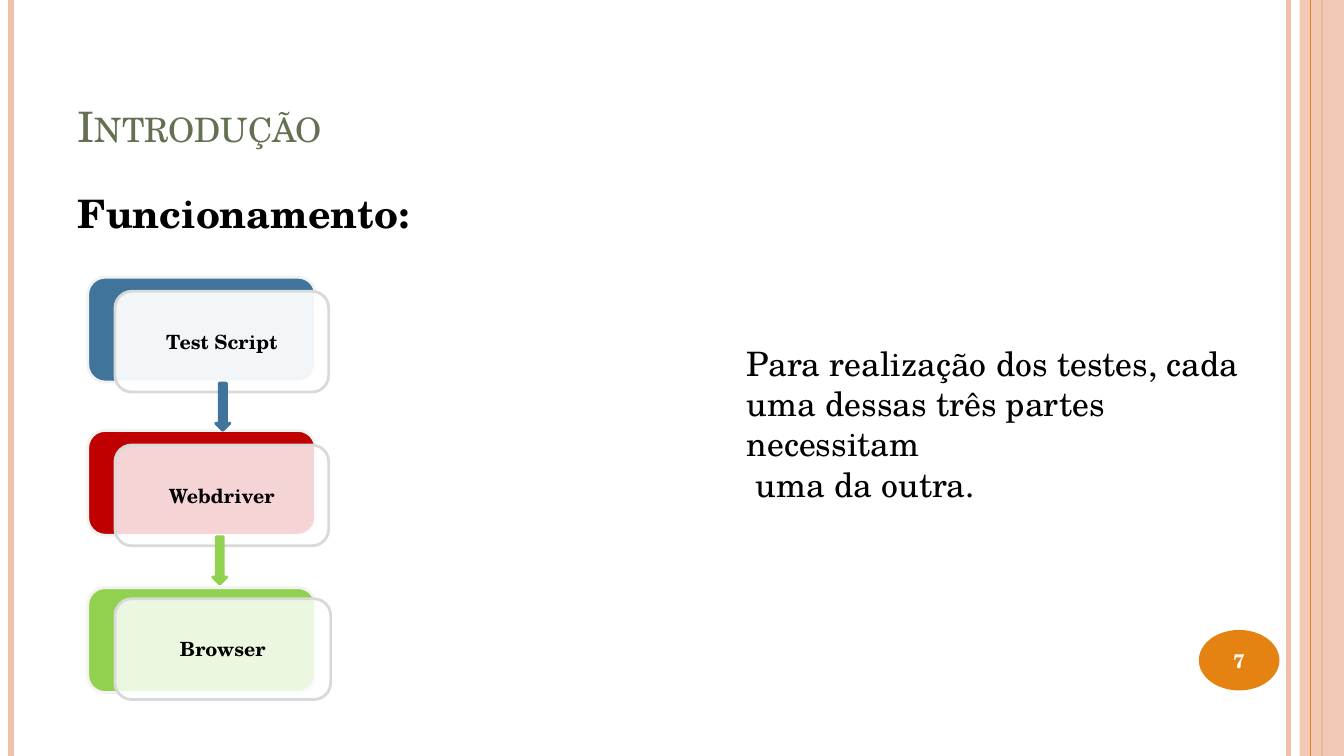
from lxml import etree
from pptx import Presentation
from pptx import util as u
from pptx.dml.color import RGBColor
from pptx.enum import shapes, text
from pptx.oxml.ns import qn


class Theme:
    font = "TeX Gyre Schola"
    peach, orange, olive = "EFC1AB", "E48312", "637052"
    blue, red, green = "40749B", "C00000", "92D050"
    black, white = "000000", "FFFFFF"
    pale, grey = "F2F2F2", "D9D9D9"
    title, heading, body, label = 30, 28, 24, 14


def apply(target, formats):
    for name, value in formats.items():
        setattr(target, name, value)


def set_opacity(sp, percent):
    """Make the solid fill of a shape partly transparent."""
    color = sp._element.spPr.find(qn("a:solidFill")).find(qn("a:srgbClr"))
    etree.SubElement(color, qn("a:alpha"), val=str(percent * 1000))


def write(p, words, size, color=Theme.black, bold=False):
    r = p.add_run()
    r.text = words
    apply(r.font, {"name": Theme.font, "size": u.Pt(size), "bold": bold})
    r.font.color.rgb = RGBColor.from_string(color)
    return r


def add_box(s, kind, box, fill, line=None, opacity=100):
    sp = s.shapes.add_shape(kind, *map(u.Inches, box))
    sp.shadow.inherit = False
    sp.fill.solid()
    sp.fill.fore_color.rgb = RGBColor.from_string(fill)
    if opacity < 100:
        set_opacity(sp, opacity)
    if line:
        sp.line.color.rgb = RGBColor.from_string(line)
        sp.line.width = u.Pt(2)
    else:
        sp.line.fill.background()
    return sp


def add_label(sp, words, color=Theme.black):
    tf = sp.text_frame
    apply(tf, {"word_wrap": True, "vertical_anchor": text.MSO_ANCHOR.MIDDLE})
    p = tf.paragraphs[0]
    p.alignment = text.PP_ALIGN.CENTER
    write(p, words, Theme.label, color, bold=True)


def add_rule(s, x, height, color, weight):
    rule = s.shapes.add_connector(shapes.MSO_CONNECTOR.STRAIGHT,
                                  u.Inches(x), 0, u.Inches(x), u.Inches(height))
    rule.line.color.rgb = RGBColor.from_string(color)
    rule.line.width = u.Pt(weight)
    etree.SubElement(rule._element.spPr, qn("a:effectLst"))


def add_frame(s, width, height):
    # Rules behind the band, the band at the right edge, and a rule on it
    band = 0.44
    for x, color, weight in [(width - 0.55, Theme.peach, 3),
                             (0.11, Theme.peach, 4.5),
                             (width - band / 2, Theme.orange, 1.5)]:
        add_rule(s, x, height, color, weight)
    add_box(s, shapes.MSO_SHAPE.RECTANGLE, (width - band, 0, band, height),
            Theme.peach, opacity=87)
    add_rule(s, width - band * 3 / 4, height, Theme.orange, 0.75)


def add_page_number(s, box, number):
    badge = add_box(s, shapes.MSO_SHAPE.OVAL, box, Theme.orange)
    add_label(badge, number, Theme.white)


def add_title(s, box, words):
    sp = s.shapes.title
    apply(sp, dict(zip(("left", "top", "width", "height"), map(u.Inches, box))))
    tf = sp.text_frame
    apply(tf, {"word_wrap": True, "auto_size": text.MSO_AUTO_SIZE.NONE,
               "vertical_anchor": text.MSO_ANCHOR.BOTTOM})
    p = tf.paragraphs[0]
    p.alignment = text.PP_ALIGN.LEFT
    r = write(p, words, Theme.title, Theme.olive)
    r.font._element.set("cap", "small")


def add_text(s, box, lines, size, bold=False, wrap=True):
    tf = s.shapes.add_textbox(*map(u.Inches, box)).text_frame
    tf.word_wrap = wrap
    for i, words in enumerate(lines):
        p = tf.add_paragraph() if i else tf.paragraphs[0]
        write(p, words, size, bold=bold)
    return tf


def add_flow(s, box):
    left, top, width, height = box
    rounded = shapes.MSO_SHAPE.ROUNDED_RECTANGLE
    card_width, card_height = 2.26, 1.04
    cover_dx, cover_dy, cover_height = 0.27, 0.14, 1
    arrow_width, arrow_height = 0.14, 0.47
    pitch = (height - cover_dy - cover_height) / 2

    # Name, colour, card offset from the top, cover width and cover opacity
    steps = [("Test Script", Theme.blue, 0, 2.12, 94),
             ("Webdriver", Theme.red, 1.52, 2.12, 83),
             ("Browser", Theme.green, 3.08, width - cover_dx, 83)]

    # Coloured cards, all behind the covers
    for name, color, card_dy, cover_width, opacity in steps:
        add_box(s, rounded, (left, top + card_dy, card_width, card_height),
                color, Theme.pale)

    # Translucent covers with the step names
    for i, (name, color, card_dy, cover_width, opacity) in enumerate(steps):
        cover_box = (left + cover_dx, top + cover_dy + i * pitch,
                     cover_width, cover_height)
        cover = add_box(s, rounded, cover_box, Theme.white, Theme.grey, opacity)
        add_label(cover, name)

    # Arrows between the steps
    for i, (arrow_dx, color) in enumerate([(1.27, Theme.blue), (1.24, Theme.green)]):
        arrow_box = (left + arrow_dx, top + card_height + 0.01 + i * pitch,
                     arrow_width, arrow_height)
        add_box(s, shapes.MSO_SHAPE.DOWN_ARROW, arrow_box, color, color)


def add_explanation(s, box):
    tf = add_text(s, box, ["Para realização dos testes, cada",
                           "uma dessas três partes necessitam",
                           "uma da outra."], Theme.body)
    last = tf.paragraphs[-1]
    last._p.get_or_add_pPr().set("marL", str(u.Inches(0.09)))


def build_slide(prs, width, height):
    s = prs.slides.add_slide(prs.slide_layouts[5])
    add_frame(s, width, height)
    add_page_number(s, (width - 1.44, height - 1.25, 0.8, 0.6), "7")
    add_title(s, (0.67, 0.3, 10.89, 1.25), "Introdução")
    add_text(s, (0.67, 1.83, 3.52, 0.57), ["Funcionamento:"],
             Theme.heading, bold=True, wrap=False)
    add_flow(s, (0.87, 2.75, 2.41, 4.19))
    add_explanation(s, (7.31, 3.35, 5.34, 1.72))


def main():
    width, height = 13.33, 7.5
    prs = Presentation()
    apply(prs, {"slide_width": u.Inches(width), "slide_height": u.Inches(height)})
    build_slide(prs, width, height)
    prs.save("out.pptx")


if __name__ == "__main__":
    main()
